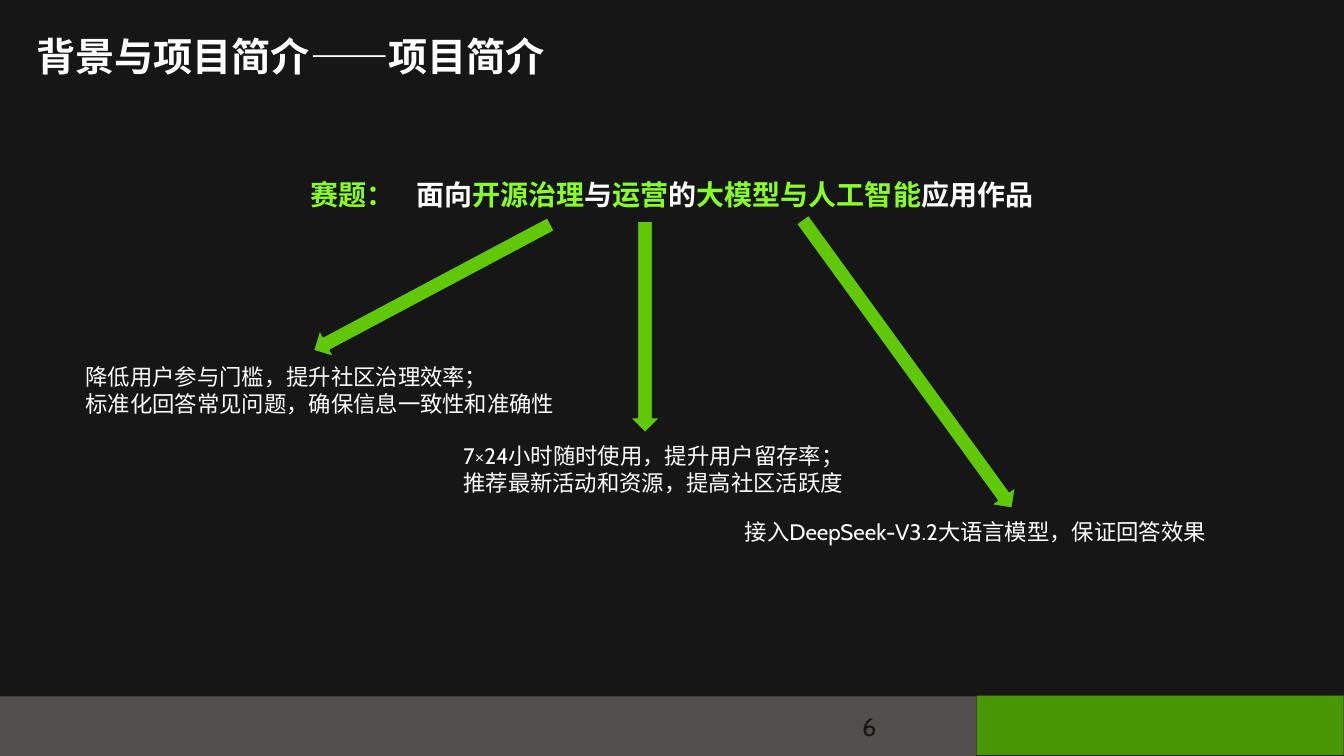
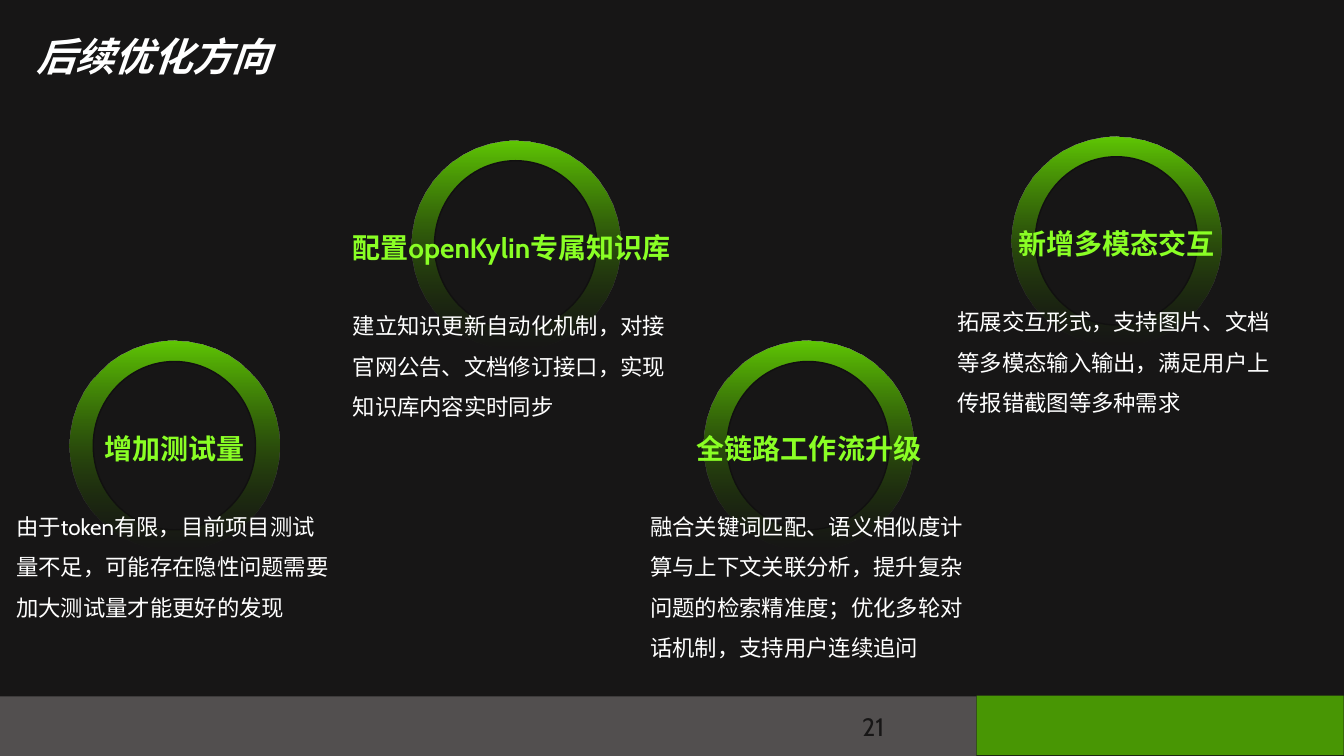
from itertools import cycle
from lxml.etree import SubElement
from pptx import Presentation
from pptx.dml.color import RGBColor
from pptx.enum.shapes import MSO_SHAPE
from pptx.enum.text import PP_ALIGN
from pptx.oxml.ns import qn
from pptx.util import Cm, Pt

DARK, GREY, WHITE = "171616", "524F4F", "FFFFFF"
LIME, GREEN, LEAF, MOSS, EDGE = "8AFF25", "60C805", "489604", "224900", "111010"


def tint(code):
    return RGBColor.from_string(code)


class Deck:
    font = "Cabin"

    def __init__(self):
        self.prs = Presentation()
        self.prs.slide_width, self.prs.slide_height = Cm(33.87), Cm(19.05)
        back = self.prs.slide_master.background.fill
        back.solid()
        back.fore_color.rgb = tint(DARK)
        self.shapes = None

    def page(self, title, number, slant=False):
        slide = self.prs.slides.add_slide(self.prs.slide_layouts[6])
        self.shapes = slide.shapes
        self.shape(MSO_SHAPE.RECTANGLE, (0, 17.55, 24.61, 1.5), GREY)
        self.shape(MSO_SHAPE.RECTANGLE, (24.61, 17.53, 9.25, 1.5), LEAF)
        self.text((0.66, 0.69, 15, 1.63), title, 28, bold=True, slant=slant)
        self.text((21.48, 17.81, 7.62, 1.02), number, 18, [DARK])

    def shape(self, kind, box, fill, line=None, turn=0):
        shape = self.shapes.add_shape(kind, *map(Cm, box))
        shape.shadow.inherit = False
        shape.rotation = turn
        shape.fill.solid()
        shape.fill.fore_color.rgb = tint(fill)
        if line:
            shape.line.color.rgb = tint(line)
            shape.line.width = Pt(1)
        else:
            shape.line.fill.background()
        return shape

    def text(self, box, words, size=16, hues=(WHITE,), bold=False, slant=False,
             align=PP_ALIGN.LEFT, lead=None, indent=0, side=0.25):
        frame = self.shapes.add_textbox(*map(Cm, box)).text_frame
        frame.word_wrap = True
        frame.margin_left = frame.margin_right = Cm(side)
        if isinstance(words, str):
            frame.text = words
        else:
            for part in words:
                frame.paragraphs[0].add_run().text = part
        for para in frame.paragraphs:
            para.alignment = align
            if lead:
                para.line_spacing = lead
            if indent:
                para._p.get_or_add_pPr().set("indent", str(Cm(indent)))
            for run, hue in zip(para.runs, cycle(hues)):
                font = run.font
                font.name, font.size = self.font, Pt(size)
                font.bold, font.italic = bold, slant
                font.color.rgb = tint(hue)

    def arrow(self, box, turn):
        self.shape(MSO_SHAPE.RIGHT_ARROW, box, GREEN, DARK, turn)

    def topic(self, left, top, edge, height, head, body):
        outer = self.shapes
        self.shapes = outer.add_group_shape().shapes
        ring = self.shape(MSO_SHAPE.OVAL, (left, top, 5.28, 5.28), GREEN)
        ring.fill.gradient()
        ring.fill.gradient_angle = 90
        for stop, place, hue in zip(ring.fill.gradient_stops, (0, 1), (MOSS, GREEN)):
            stop.position = place
            stop.color.rgb = tint(hue)
        first = ring._element.spPr.find(".//" + qn("a:srgbClr"))
        SubElement(first, qn("a:alpha")).set("val", "0")
        self.shape(MSO_SHAPE.OVAL, (left + 0.59, top + 0.52, 4.09, 4.24), DARK, EDGE)
        self.text((edge - 0.1, top + 2.15, 8.7, 0.97), head, 20, [LIME], bold=True,
                  align=PP_ALIGN.CENTER, side=0)
        self.text((edge, top + 3.88, 8.46, height), body, lead=1.5)
        self.shapes = outer


def main():
    deck = Deck()

    deck.page("背景与项目简介——项目简介", "6")
    deck.text((6.3, 4.36, 4.19, 1.24), "赛题：", 20, [LIME], bold=True, indent=1.27)
    theme = ["面向", "开源治理", "与", "运营", "的", "大模型与人工智能", "应用作品"]
    deck.text((8.97, 4.36, 18.11, 1.12), theme, 20, [WHITE, LIME], bold=True, indent=1.27)
    for box, words in (
        ((18.52, 12.93, 13.82, 1.55), "接入DeepSeek-V3.2大语言模型，保证回答效果"),
        ((11.43, 11.02, 10.49, 1.63),
         "7×24小时随时使用，提升用户留存率；\n推荐最新活动和资源，提高社区活跃度"),
        ((1.91, 9.02, 14.12, 1.63),
         "降低用户参与门槛，提升社区治理效率；\n标准化回答常见问题，确保信息一致性和准确性"),
    ):
        deck.text(box, words)
    deck.arrow((18.37, 8.79, 8.99, 0.76), 54)
    deck.arrow((7.5, 6.86, 6.78, 0.76), 152)
    deck.arrow((13.59, 7.86, 5.33, 0.76), 90)

    deck.page("后续优化方向", "21", slant=True)
    for topic in (
        (1.76, 8.59, 0.16, 4.27, "增加测试量",
         "由于token有限，目前项目测试量不足，可能存在隐性问题需要加大测试量才能更好的发现"),
        (10.36, 3.53, 8.64, 4.27, "配置openKylin专属知识库",
         "建立知识更新自动化机制，对接官网公告、文档修订接口，实现知识库内容实时同步"),
        (17.73, 8.59, 16.14, 5.28, "全链路工作流升级",
         "融合关键词匹配、语义相似度计算与上下文关联分析，提升复杂问题的检索精准度；"
         "优化多轮对话机制，支持用户连续追问"),
        (25.5, 3.43, 23.88, 4.27, "新增多模态交互",
         "拓展交互形式，支持图片、文档等多模态输入输出，满足用户上传报错截图等多种需求"),
    ):
        deck.topic(*topic)

    deck.prs.save("out.pptx")


if __name__ == "__main__":
    main()
